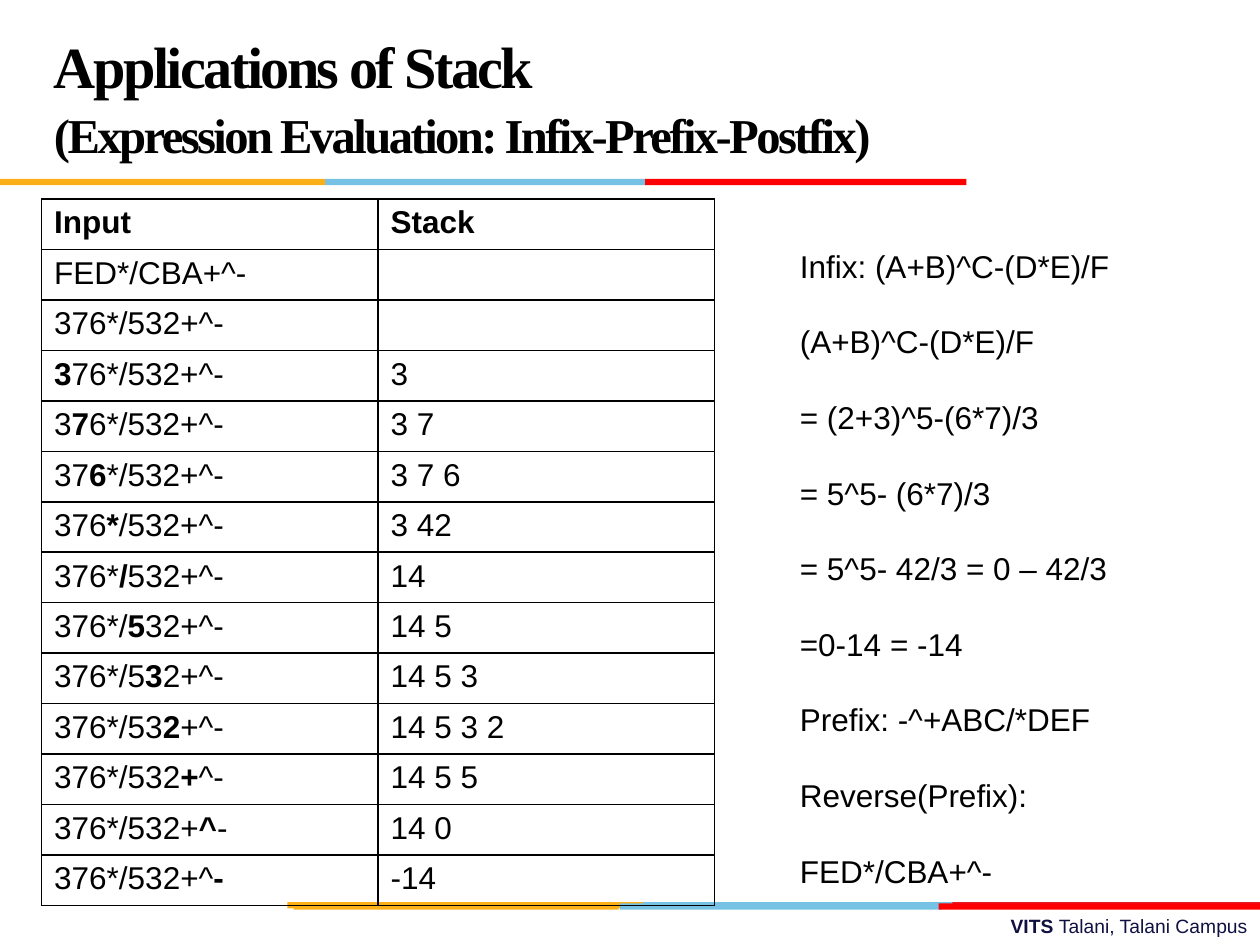
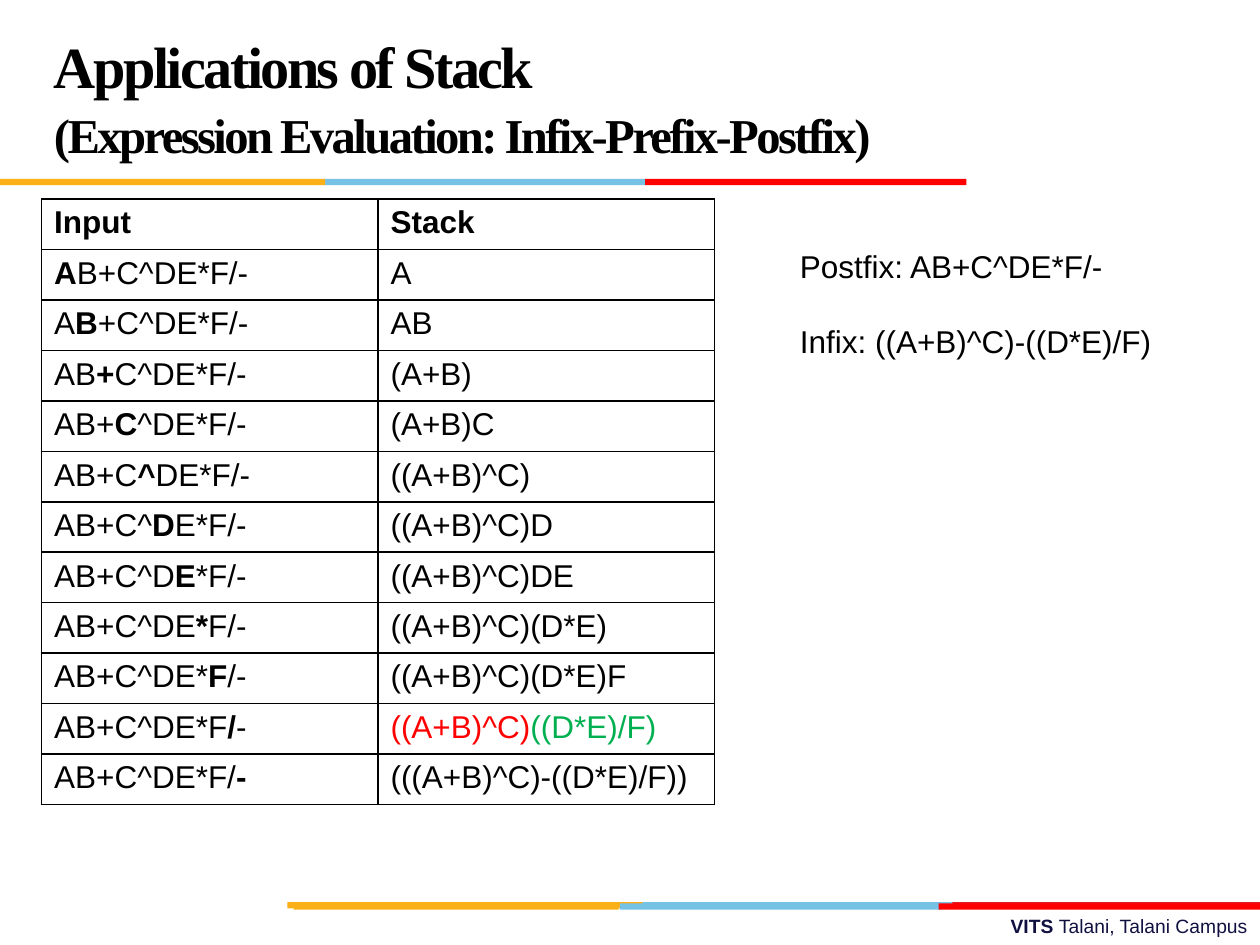
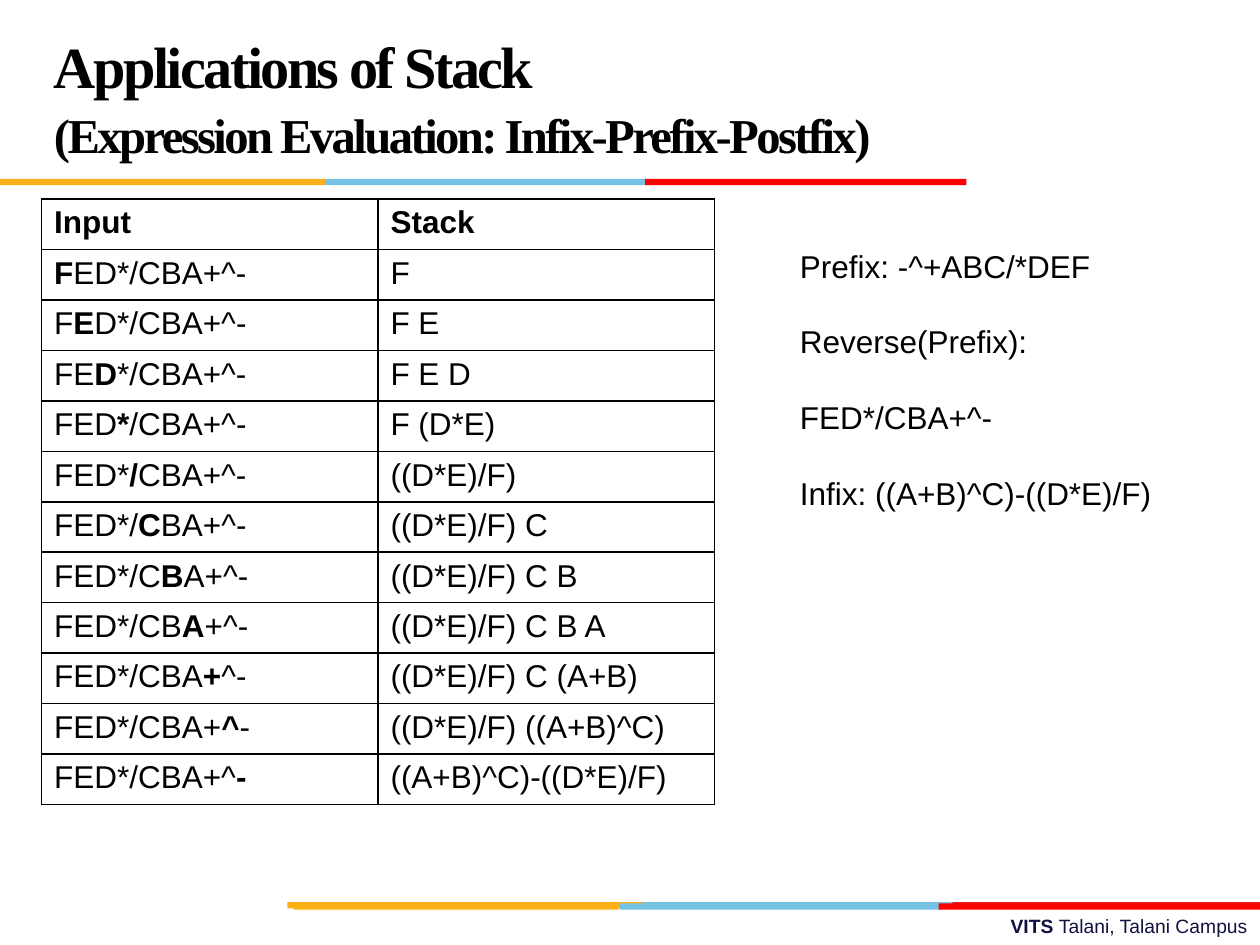
from dataclasses import dataclass

from lxml import etree
from pptx import Presentation
from pptx.dml.color import RGBColor
from pptx.enum.shapes import MSO_SHAPE
from pptx.enum.text import MSO_ANCHOR, PP_ALIGN
from pptx.oxml.ns import qn
from pptx.util import Pt

RECTANGLE = MSO_SHAPE.RECTANGLE
MIDDLE = MSO_ANCHOR.MIDDLE
RIGHT = PP_ALIGN.RIGHT
EMU_PER_PX = 9144  # 100 px to the inch


@dataclass(frozen=True)
class Theme:
    ink: str = "000000"
    footer_ink: str = "101141"
    gold: str = "FCB017"
    sky: str = "76C2E5"
    crimson: str = "E31C24"
    red: str = "FF0000"
    green: str = "00B050"
    heading_font: str = "Times New Roman"
    body_font: str = "Arial"
    title_size: float = 33.3
    subtitle_size: float = 27.8
    body_size: float = 18
    footer_size: float = 11
    title_leading: float = 36
    title_tracking: float = -1.5
    border_width: float = 1


THEME = Theme()

TITLE_LINES = (
    ("Applications of Stack", THEME.title_size),
    ("(Expression Evaluation: Infix-Prefix-Postfix)", THEME.subtitle_size),
)

# Each band: top, then (left, width, colour) of its segments
BANDS = (
    (716, ((506, 255, THEME.sky), (756, 244, THEME.crimson), (228, 282, THEME.gold))),
    (717, ((492, 255, THEME.sky), (233, 258, THEME.gold), (745, 255, THEME.red))),
    (142, ((258, 255, THEME.sky), (0, 258, THEME.gold), (512, 255, THEME.red))),
)
BAND_HEIGHT = 5

COLUMN_WIDTH = 267
ROW_HEIGHT = 40


@dataclass(frozen=True)
class Trace:
    """One evaluation: the stack after each symbol of the expression is read."""
    expression: str
    stacks: tuple
    derivation: tuple
    derivation_width: int
    derivation_height: int
    unread: tuple = ()


TRACES = (
    Trace(
        "376*/532+^-",
        ("3", "3 7", "3 7 6", "3 42", "14", "14 5", "14 5 3", "14 5 3 2",
         "14 5 5", "14 0", "-14"),
        ("Infix: (A+B)^C-(D*E)/F", "(A+B)^C-(D*E)/F", "= (2+3)^5-(6*7)/3",
         "= 5^5- (6*7)/3", "= 5^5- 42/3 = 0 – 42/3", "=0-14 = -14",
         "Prefix: -^+ABC/*DEF", "Reverse(Prefix):", "FED*/CBA+^-"),
        283, 546,
        unread=("FED*/CBA+^-", "376*/532+^-"),
    ),
    Trace(
        "AB+C^DE*F/-",
        ("A", "AB", "(A+B)", "(A+B)C", "((A+B)^C)", "((A+B)^C)D", "((A+B)^C)DE",
         "((A+B)^C)(D*E)", "((A+B)^C)(D*E)F",
         (("((A+B)^C)", THEME.red), ("((D*E)/F)", THEME.green)),
         "(((A+B)^C)-((D*E)/F))"),
        ("Postfix: AB+C^DE*F/-", "Infix: ((A+B)^C)-((D*E)/F)"),
        375, 122,
    ),
    Trace(
        "FED*/CBA+^-",
        ("F", "F E", "F E D", "F (D*E)", "((D*E)/F)", "((D*E)/F) C",
         "((D*E)/F) C B", "((D*E)/F) C B A", "((D*E)/F) C (A+B)",
         "((D*E)/F) ((A+B)^C)", "((A+B)^C)-((D*E)/F)"),
        ("Prefix: -^+ABC/*DEF", "Reverse(Prefix):", "FED*/CBA+^-",
         "Infix: ((A+B)^C)-((D*E)/F)"),
        375, 243,
    ),
)


def px(*lengths):
    return [length * EMU_PER_PX for length in lengths]


def rgb(colour):
    return RGBColor.from_string(colour)


def style(font, size=THEME.body_size, name=THEME.body_font, colour=THEME.ink):
    font.size = Pt(size)
    font.name = name
    font.color.rgb = rgb(colour)


def add_run(paragraph, text, bold=None, colour=None):
    run = paragraph.add_run()
    run.text = text
    if bold is not None:
        run.font.bold = bold
    if colour:
        run.font.color.rgb = rgb(colour)
    return run


def add_text_frame(slide, *box):
    frame = slide.shapes.add_textbox(*px(*box)).text_frame
    frame.word_wrap = True
    return frame


def add_paragraphs(frame, count):
    return [frame.paragraphs[0]] + [frame.add_paragraph() for _ in range(count - 1)]


# Shared frame: footer, bands, title
def add_footer(slide):
    campus = add_text_frame(slide, 358, 721, 642, 29).paragraphs[0]
    campus.alignment = RIGHT
    style(campus.font, THEME.footer_size, colour=THEME.footer_ink)
    add_run(campus, "VITS ", bold=True)
    add_run(campus, "Talani, Talani Campus", bold=False)


def add_bands(slide):
    for top, segments in BANDS:
        band = slide.shapes.add_group_shape()
        for left, width, colour in segments:
            segment = band.shapes.add_shape(
                RECTANGLE, *px(left, top, width, BAND_HEIGHT))
            segment.shadow.inherit = False
            segment.fill.solid()
            segment.fill.fore_color.rgb = rgb(colour)
            segment.line.fill.background()


def add_title(slide):
    frame = add_text_frame(slide, 33, 17, 692, 125)
    frame.vertical_anchor = MIDDLE
    lines = add_paragraphs(frame, len(TITLE_LINES))
    for line, (text, size) in zip(lines, TITLE_LINES):
        line.line_spacing = Pt(THEME.title_leading)
        style(line.font, size, THEME.heading_font)
        line.font.bold = True
        properties = add_run(line, text)._r.get_or_add_rPr()
        properties.set("spc", str(int(THEME.title_tracking * 100)))


# Evaluation table
def set_borders(cell):
    properties = cell._tc.get_or_add_tcPr()
    for position, side in enumerate(("a:lnL", "a:lnR", "a:lnT", "a:lnB")):
        border = etree.Element(qn(side), w=str(Pt(THEME.border_width)))
        fill = etree.SubElement(border, qn("a:solidFill"))
        etree.SubElement(fill, qn("a:srgbClr"), val=THEME.ink)
        properties.insert(position, border)


def fill_cell(cell, pieces):
    """Write (text, bold, colour) pieces into one bordered cell."""
    cell.fill.background()
    set_borders(cell)
    paragraph = cell.text_frame.paragraphs[0]
    style(paragraph.font)
    for text, bold, colour in pieces:
        if text:
            add_run(paragraph, text, bold, colour)


def input_pieces(expression, current):
    """Split the expression so that the symbol being read is bold."""
    return [(expression[:current], False, None),
            (expression[current], True, None),
            (expression[current + 1:], False, None)]


def stack_pieces(stack):
    parts = ((stack, None),) if isinstance(stack, str) else stack
    return [(text, False, colour) for text, colour in parts]


def add_trace_table(slide, trace):
    rows = [([("Input", True, None)], [("Stack", True, None)])]
    rows += [([(text, False, None)], []) for text in trace.unread]
    rows += [(input_pieces(trace.expression, step), stack_pieces(stack))
             for step, stack in enumerate(trace.stacks)]
    table = slide.shapes.add_table(
        len(rows), 2, *px(33, 158, 2 * COLUMN_WIDTH, len(rows) * ROW_HEIGHT)).table
    table.first_row = False
    table.horz_banding = False
    for table_row, row in zip(table.rows, rows):
        for cell, pieces in zip(table_row.cells, row):
            fill_cell(cell, pieces)


# Notations beside the table
def add_derivation(slide, trace):
    frame = add_text_frame(
        slide, 625, 161, trace.derivation_width, trace.derivation_height)
    steps = add_paragraphs(frame, len(trace.derivation))
    for step, text in zip(steps, trace.derivation):
        step.line_spacing = 2.0
        style(step.font)
        add_run(step, text)


def main():
    presentation = Presentation()
    presentation.slide_width, presentation.slide_height = px(1000, 750)
    blank_layout = presentation.slide_layouts[6]
    for trace in TRACES:
        slide = presentation.slides.add_slide(blank_layout)
        add_footer(slide)
        add_bands(slide)
        add_trace_table(slide, trace)
        add_title(slide)
        add_derivation(slide, trace)
    presentation.save("out.pptx")


if __name__ == "__main__":
    main()
